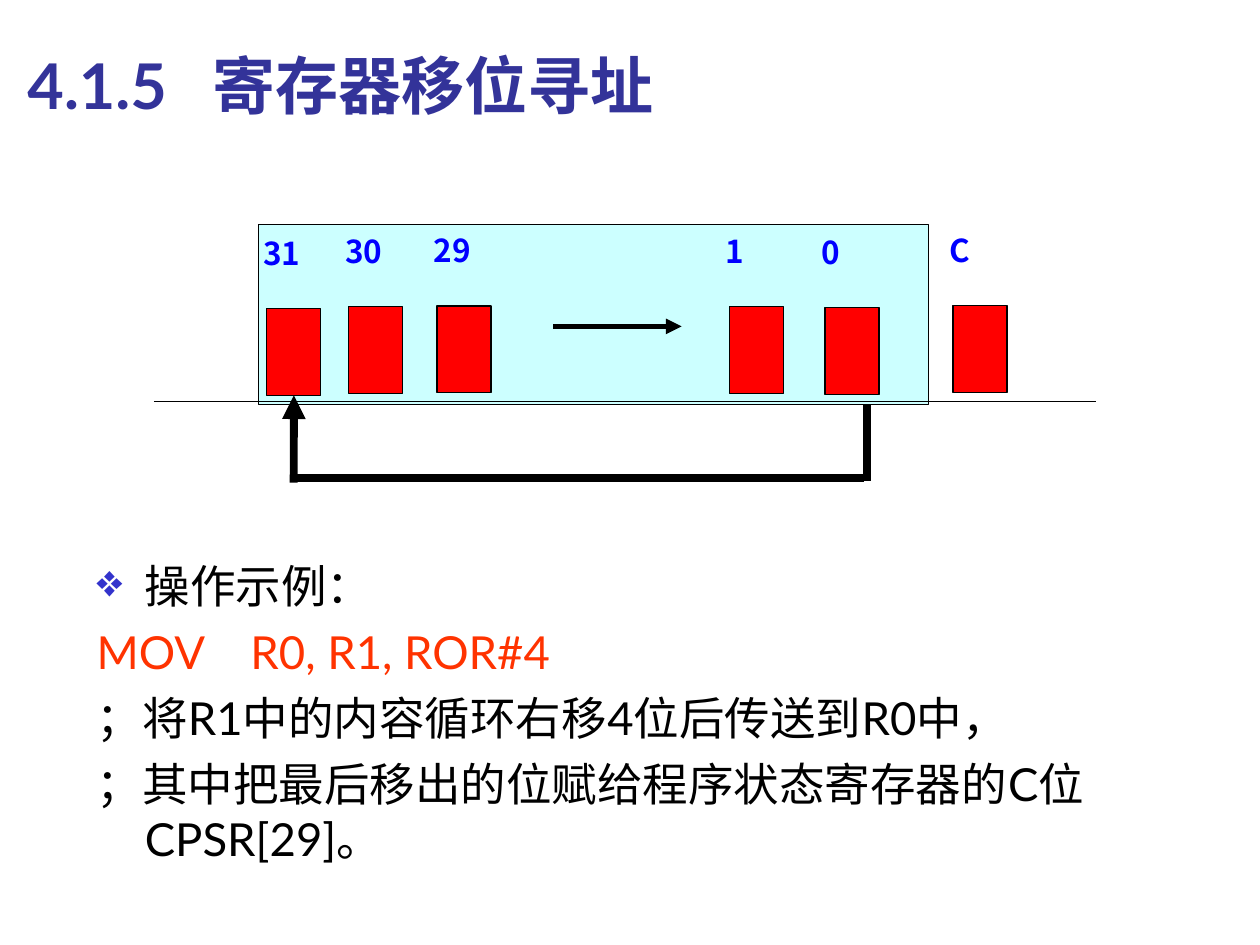
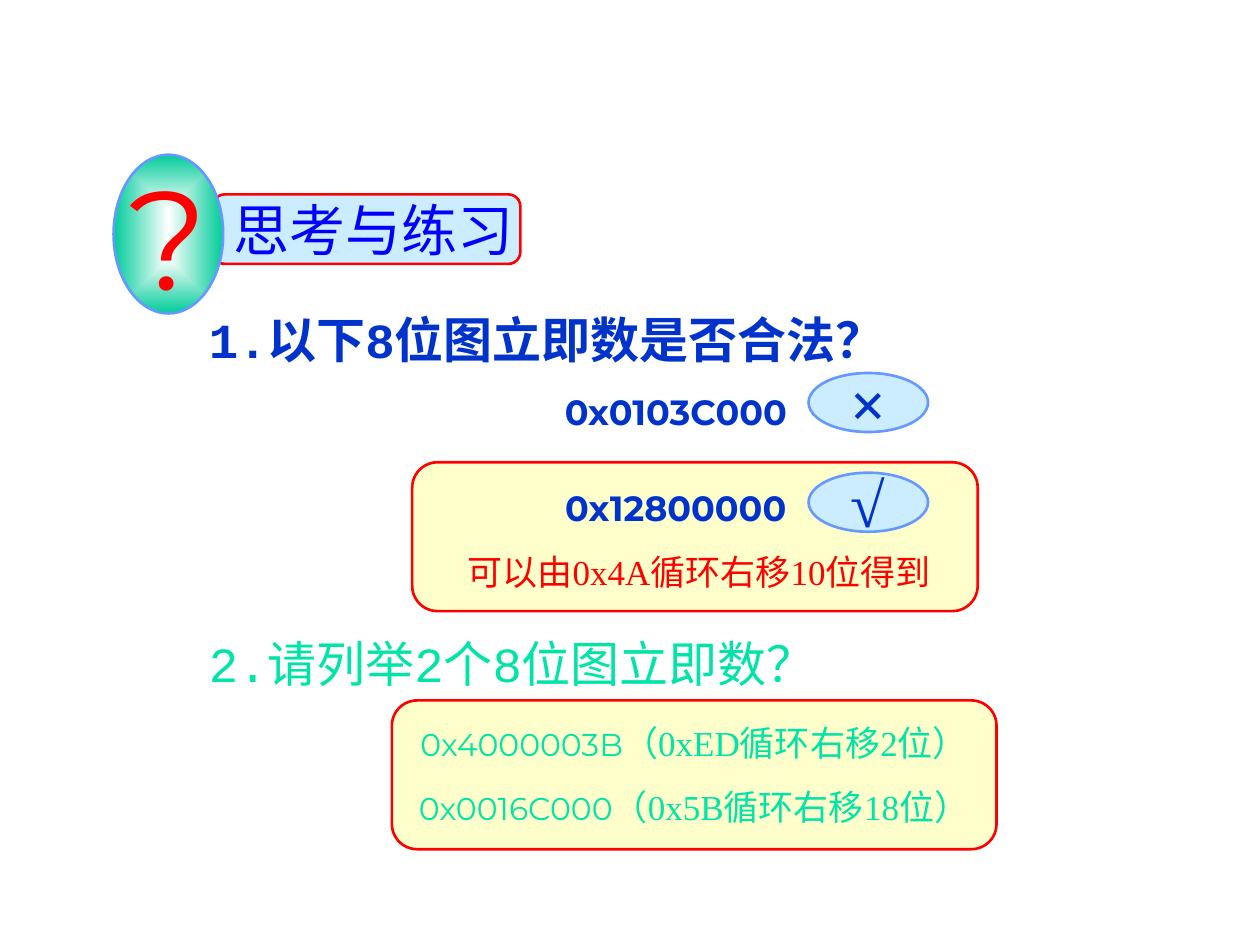
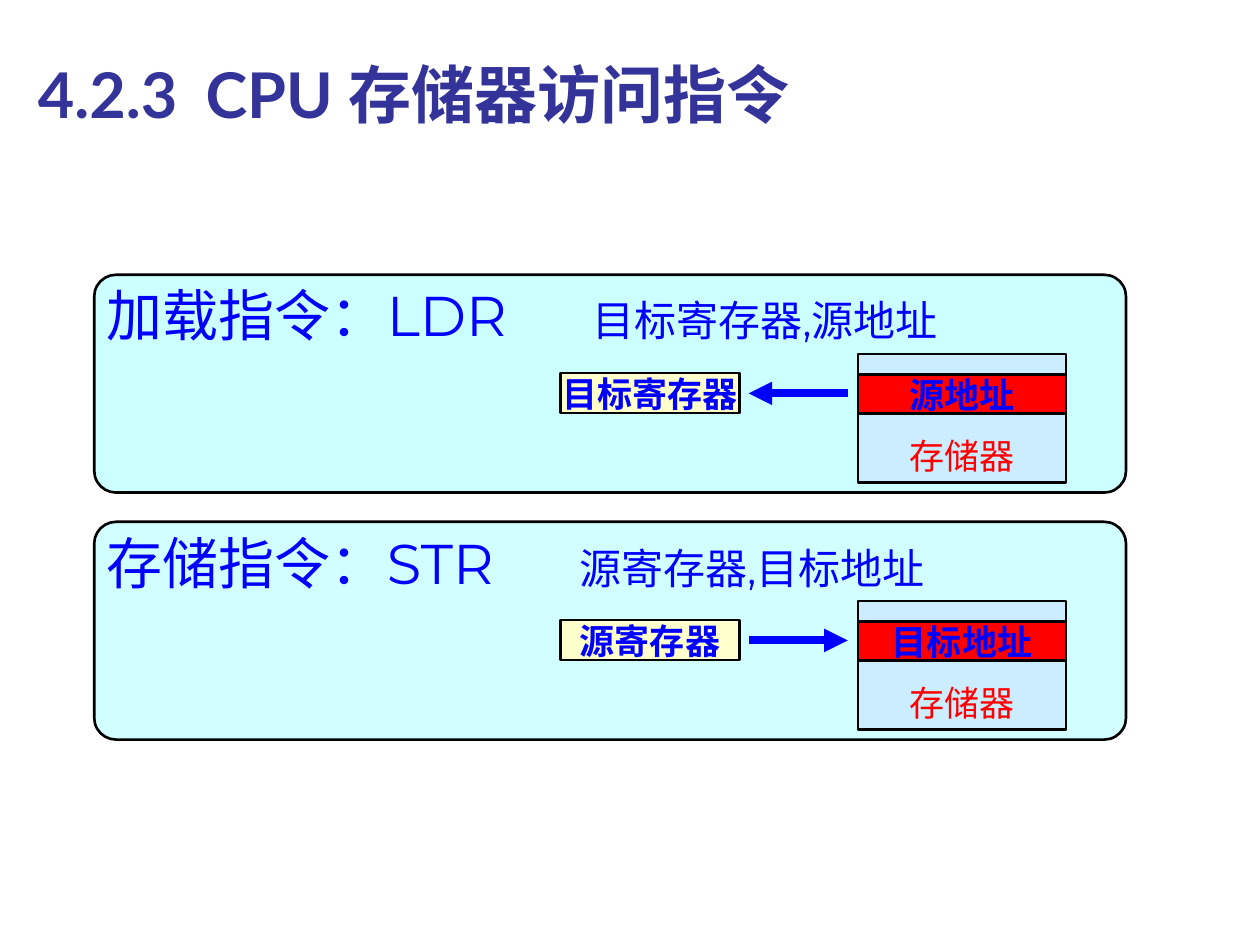
"""Build three slides on register shifts, 8-bit immediates and memory access."""
from pptx import Presentation
from pptx.dml.color import RGBColor
from pptx.enum.shapes import MSO_CONNECTOR, MSO_SHAPE
from pptx.enum.text import MSO_ANCHOR, PP_ALIGN
from pptx.oxml.ns import qn
from pptx.util import Cm, Pt
from lxml import etree

LEFT, CENTER = PP_ALIGN.LEFT, PP_ALIGN.CENTER
TOP, MIDDLE, BOTTOM = MSO_ANCHOR.TOP, MSO_ANCHOR.MIDDLE, MSO_ANCHOR.BOTTOM
RECT, ROUND, OVAL = MSO_SHAPE.RECTANGLE, MSO_SHAPE.ROUNDED_RECTANGLE, MSO_SHAPE.OVAL
STRAIGHT = MSO_CONNECTOR.STRAIGHT

BLACK = RGBColor(0x00, 0x00, 0x00)
WHITE = RGBColor(0xFF, 0xFF, 0xFF)
RED = RGBColor(0xFF, 0x00, 0x00)
BLUE = RGBColor(0x00, 0x00, 0xFF)
NAVY = RGBColor(0x33, 0x33, 0x99)
INK = RGBColor(0x00, 0x33, 0xCC)
ORANGE = RGBColor(0xFF, 0x33, 0x00)
MINT = RGBColor(0x00, 0xE4, 0xA8)
GREEN = RGBColor(0x00, 0xCC, 0x99)
CYAN = RGBColor(0xCC, 0xFF, 0xFF)
SKY = RGBColor(0xCC, 0xEC, 0xFF)
EDGE = RGBColor(0x66, 0x99, 0xFF)
CREAM = RGBColor(0xFF, 0xFF, 0xCC)
BULLET = "3333CC"

TIMES, MONT, LATO, NOTO = "Times New Roman", "Montserrat", "Lato", "Noto Sans CJK SC"
EAST_ASIAN = {TIMES: NOTO}


def style(size, name, color, bold=False):
    return {"size": Pt(size), "name": name, "color": color, "bold": bold}


TITLE = style(36, LATO, NAVY, True)
BODY = style(26, LATO, BLACK)
CODE = style(26, LATO, ORANGE)
BIT = style(18, NOTO, BLUE, True)
QUESTION = style(28, "Courier New", INK, True)
QUESTION_2 = style(28, "Courier New", MINT)
NUMBER = style(20, MONT, INK, True)
MARK = style(36, TIMES, INK, True)
HINT = style(20, TIMES, RED)
HEX = style(18, MONT, MINT)
ANSWER = style(20, TIMES, MINT)
HEADING = style(32, TIMES, BLUE)
BIG_MARK = style(80, MONT, RED)
MNEMONIC = style(32, MONT, BLUE)
OPERANDS = style(24, MONT, BLUE)
CELL = style(20, TIMES, BLUE, True)

HANG = 0.97
SHIFT_TITLE = "4.1.5\t寄存器移位寻址"
SHIFT_NOTES = [
    {"runs": [("操作示例：", BODY)], "hang": HANG, "bullet": "❖"},
    {"runs": [("MOV\tR0, R1, ROR#4", CODE)], "before": 6.5, "tab": 3.1},
    {"runs": [("；将R1中的内容循环右移4位后传送到R0中，", BODY)], "before": 6.5, "hang": HANG},
    {"runs": [("；其中把最后移出的位赋给程序状态寄存器的C位CPSR[29]。", BODY)],
     "before": 6.5, "hang": HANG},
]
BITS = [("31", 5.38, 6.22), ("30", 7.03, 6.18), ("29", 8.81, 6.17),
        ("1", 14.7, 6.18), ("0", 16.63, 6.2), ("C", 19.21, 6.16)]
BIT_W, BIT_H = 1.09, 1.75

QUESTION_1 = [
    {"runs": [("1.以下8位图立即数是否合法？", QUESTION)]},
    {"runs": [("0x0103C000", NUMBER)], "align": CENTER, "before": 12.5},
    {"runs": [("0x12800000", NUMBER)], "align": CENTER, "before": 31},
]
MARKS = [("×", 7.52), ("√", 9.53)]
EXAMPLES = [("0x4000003B", "（0xED循环右移2位）"), ("0x0016C000", "（0x5B循环右移18位）")]

ACCESS_TITLE = "4.2.3\tCPU 存储器访问指令"
ACCESS = [
    {"head": "加载指令：", "op": "LDR", "args": "目标寄存器,源地址", "tab": 9.8,
     "register": "目标寄存器", "address": "源地址", "load": True, "alpha": None},
    {"head": "存储指令：", "op": "STR", "args": "源寄存器,目标地址", "tab": 9.53,
     "register": "源寄存器", "address": "目标地址", "load": False, "alpha": 90},
]
PANEL_TOP, PANEL_STEP = 5.54, 4.98


def sub(parent, tag, **attrs):
    el = etree.SubElement(parent, qn(tag))
    for key, value in attrs.items():
        el.set(key, str(value))
    return el


def put_text(sp, paras, anchor=TOP, wrap=True):
    tf = sp.text_frame
    tf.word_wrap = wrap
    tf.vertical_anchor = anchor
    for i, para in enumerate(paras):
        p = tf.add_paragraph() if i else tf.paragraphs[0]
        pPr = p._p.get_or_add_pPr()
        if "hang" in para:
            pPr.set("marL", str(Cm(para["hang"])))
            pPr.set("indent", str(-Cm(para["hang"])))
        if "bullet" in para:
            sub(sub(pPr, "a:buClr"), "a:srgbClr", val=BULLET)
            sub(pPr, "a:buChar", char=para["bullet"])
        if "tab" in para:
            sub(sub(pPr, "a:tabLst"), "a:tab", pos=Cm(para["tab"]), algn="l")
        p.alignment = para.get("align", LEFT)
        if "before" in para:
            p.space_before = Pt(para["before"])
        for text, fmt in para["runs"]:
            r = p.add_run()
            r.text = text
            for key, value in fmt.items():
                if key == "color":
                    r.font.color.rgb = value
                else:
                    setattr(r.font, key, value)
            name = fmt["name"]
            sub(r._r.get_or_add_rPr(), "a:ea", typeface=EAST_ASIAN.get(name, name))


def line_of(text, fmt, **para):
    return [{"runs": [(text, fmt)], **para}]


def add_title(slide, text, x, y, tab):
    sp = slide.shapes.title
    sp.left, sp.top, sp.width, sp.height = Cm(x), Cm(y), Cm(19.89), Cm(2.34)
    put_text(sp, line_of(text, TITLE, tab=tab), MIDDLE)


def add_text(slide, box, paras):
    sp = slide.shapes.add_textbox(*map(Cm, box))
    put_text(sp, paras)
    return sp


def add_box(slide, kind, box, fill, line=None, width=1.5, adj=None, paras=None, anchor=MIDDLE):
    sp = slide.shapes.add_shape(kind, *map(Cm, box))
    sp.shadow.inherit = False
    sp.fill.solid()
    sp.fill.fore_color.rgb = fill
    if line is None:
        sp.line.fill.background()
    else:
        sp.line.color.rgb = line
        sp.line.width = Pt(width)
    if adj is not None:
        sp.adjustments[0] = adj
    if paras:
        put_text(sp, paras, anchor, wrap=False)
    return sp


def add_line(slide, start, end, color, width, arrow=False):
    sp = slide.shapes.add_connector(STRAIGHT, *map(Cm, start + end))
    sp.line.color.rgb = color
    sp.line.width = Pt(width)
    if arrow:
        sub(sp.line._get_or_add_ln(), "a:tailEnd", type="triangle")
    sub(sp._element.spPr, "a:effectLst")
    return sp


def center_gradient(sp, inner, outer):
    sp.fill.gradient()
    for stop, color in zip(sp.fill.gradient_stops, (inner, outer)):
        stop.color.rgb = color
    grad = sp._element.spPr.find(qn("a:gradFill"))
    grad.remove(grad.find(qn("a:lin")))
    shade = sub(grad, "a:path", path="rect")
    sub(shade, "a:fillToRect", l=50000, t=50000, r=50000, b=50000)


def shift_slide(prs):
    slide = prs.slides.add_slide(prs.slide_layouts[5])
    add_text(slide, (1.7, 11.13, 22.86, 7.5), SHIFT_NOTES)
    add_box(slide, RECT, (5.21, 4.52, 13.51, 3.63), CYAN, BLACK, 0.75)
    cells = {}
    for name, x, y in BITS:
        cells[name] = add_box(slide, RECT, (x, y, BIT_W, BIT_H), RED, BLACK, 0.75)
        add_text(slide, (x - 0.32, y - 1.63, 1.93, 2.31), line_of(name, BIT))
    add_line(slide, (3.1, 8.1), (22.1, 8.1), BLACK, 0.75)
    add_line(slide, (11.15, 6.58), (13.74, 6.58), BLACK, 3, arrow=True)
    add_line(slide, (17.48, 8.15), (17.48, 9.7), BLACK, 4.5)
    add_line(slide, (17.42, 9.63), (5.92, 9.63), BLACK, 4.5)
    feedback = add_line(slide, (5.92, 9.73), (5.92, 7.97), BLACK, 4.5, arrow=True)
    feedback.end_connect(cells["31"], 2)
    add_title(slide, SHIFT_TITLE, 0.3, 0.53, 3.73)


def exercise_slide(prs):
    slide = prs.slides.add_slide(prs.slide_layouts[6])
    add_box(slide, ROUND, (8.31, 9.32, 11.4, 3), CREAM, RED, adj=0.17)
    add_box(slide, RECT, (9.09, 10.92, 10.01, 1.19), CREAM,
            paras=line_of("可以由0x4A循环右移10位得到", HINT, align=CENTER))
    for mark, y in MARKS:
        add_box(slide, OVAL, (16.3, y, 2.41, 1.19), SKY, EDGE,
                paras=line_of(mark, MARK, align=CENTER))
    add_text(slide, (3.96, 12.65, 19.33, 1.45), line_of("2.请列举2个8位图立即数？", QUESTION_2))
    banner = add_box(slide, ROUND, (4.29, 3.92, 6.2, 1.4), SKY, RED, adj=0.17,
                     paras=line_of("思考与练习", HEADING, align=CENTER))
    banner.text_frame.margin_left = Cm(0.53)
    badge = add_box(slide, OVAL, (2.29, 3.12, 2.21, 3.2), GREEN, EDGE,
                    paras=line_of("?", BIG_MARK, align=CENTER))
    center_gradient(badge, WHITE, GREEN)
    add_text(slide, (3.96, 6.12, 19.33, 4.67), QUESTION_1)
    examples = [{"runs": [(value, HEX), (note, ANSWER)], "align": CENTER,
                 "before": 12.5 if i else 0} for i, (value, note) in enumerate(EXAMPLES)]
    add_box(slide, ROUND, (7.9, 14.12, 12.19, 3), CREAM, RED, adj=0.17, paras=examples)


def access_slide(prs):
    slide = prs.slides.add_slide(prs.slide_layouts[5])
    for i, item in enumerate(ACCESS):
        y = PANEL_TOP + i * PANEL_STEP
        panel = add_box(slide, ROUND, (1.9, y, 20.8, 4.39), CYAN, BLACK, adj=0.1)
        if item["alpha"]:
            color = panel._element.spPr.find(qn("a:solidFill"))[0]
            sub(color, "a:alpha", val=item["alpha"] * 1000)
        runs = [(item["head"], HEADING), (item["op"] + "\t", MNEMONIC), (item["args"], OPERANDS)]
        add_text(slide, (1.9, y, 19.79, 1.63), [{"runs": runs, "tab": item["tab"]}])
        add_box(slide, RECT, (17.3, y + 1.6, 4.19, 2.59), SKY, BLACK,
                paras=line_of("存储器", HINT, align=CENTER), anchor=BOTTOM)
        add_box(slide, RECT, (17.3, y + 2.01, 4.19, 0.79), RED, BLACK,
                paras=line_of(item["address"], CELL, align=CENTER))
        add_box(slide, RECT, (11.3, y + 1.98, 3.61, 0.81), CREAM, BLACK,
                paras=line_of(item["register"], CELL, align=CENTER))
        ends = [(17.09, y + 2.39), (15.09, y + 2.39)]
        start, end = ends if item["load"] else ends[::-1]
        add_line(slide, start, end, BLUE, 4.5, arrow=True)
    add_title(slide, ACCESS_TITLE, 0.51, 0.71, 3.38)


def main():
    prs = Presentation()
    prs.slide_width, prs.slide_height = Cm(25.4), Cm(19.05)
    shift_slide(prs)
    exercise_slide(prs)
    access_slide(prs)
    prs.save("out.pptx")


if __name__ == "__main__":
    main()
